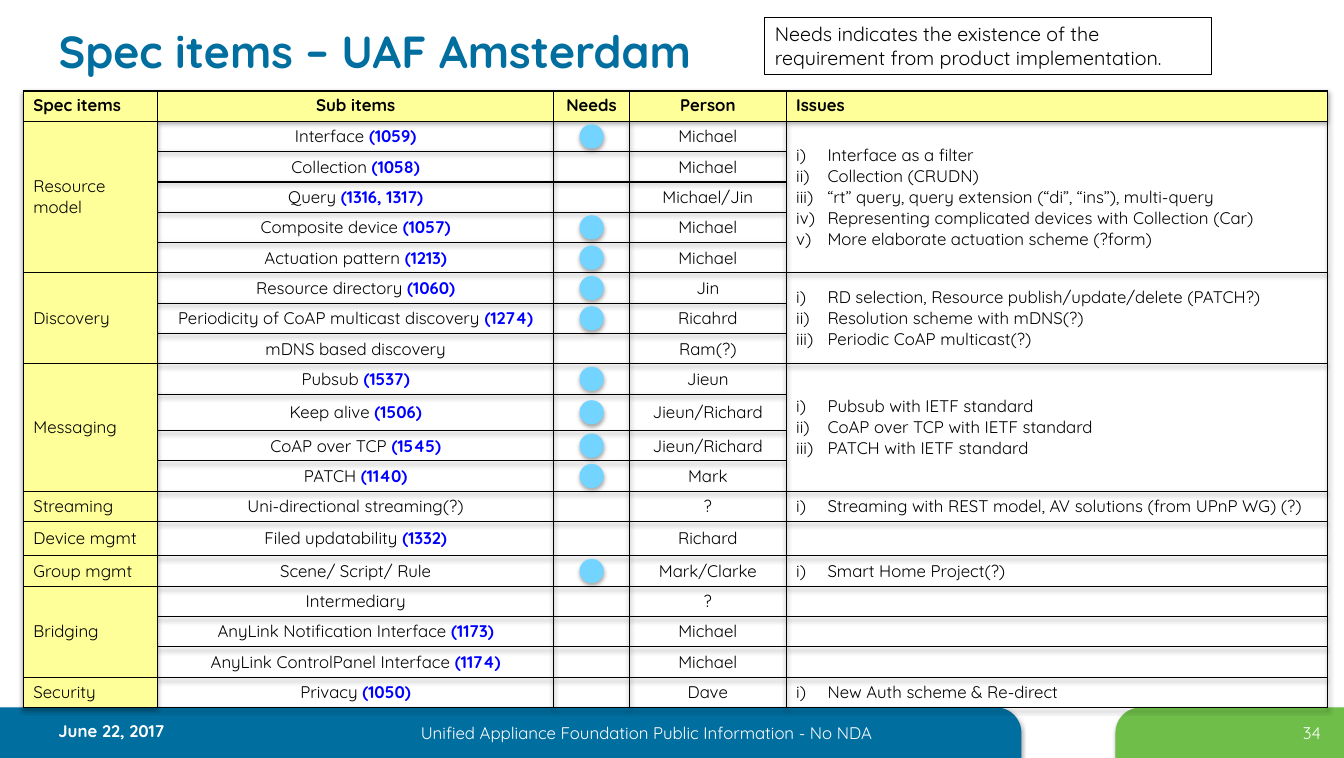
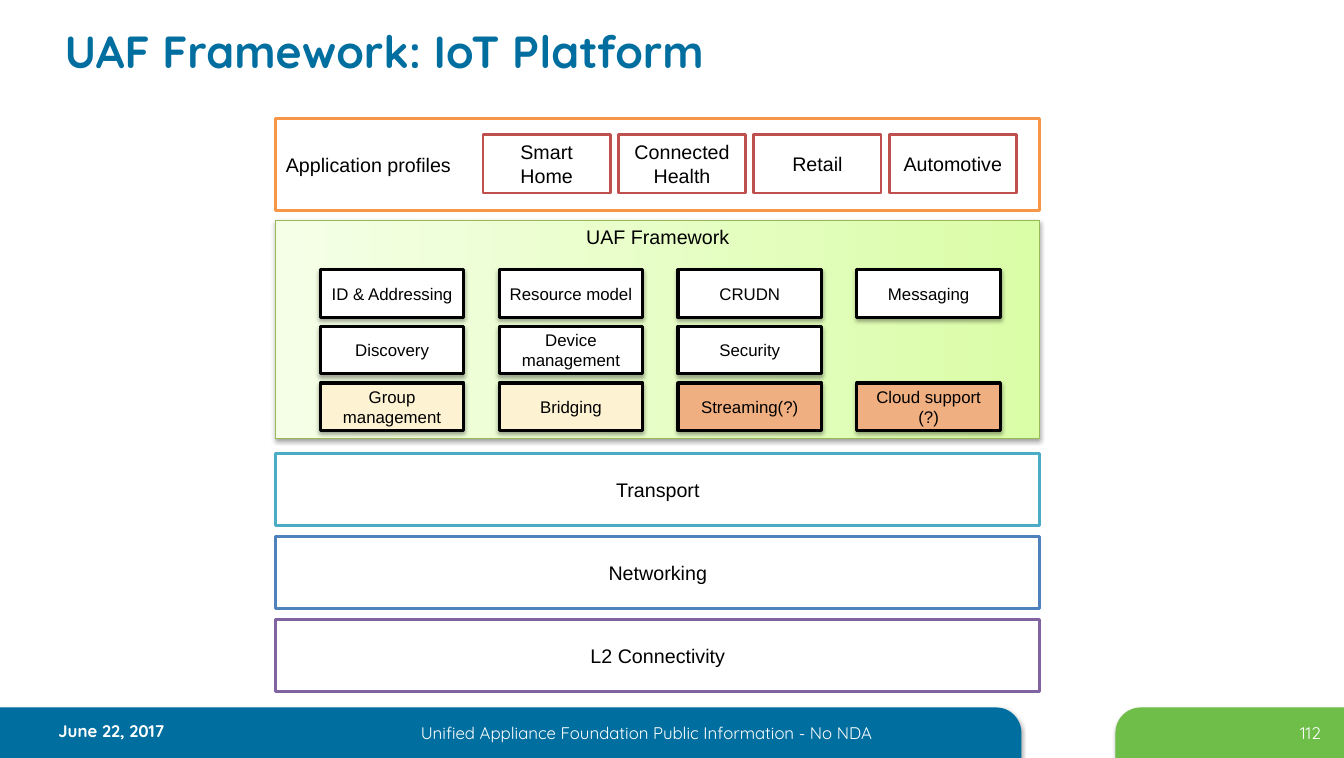
from collections import namedtuple
from itertools import accumulate

from lxml.etree import SubElement
from pptx import Presentation
from pptx.dml.color import RGBColor
from pptx.enum.shapes import MSO_SHAPE as SHAPE
from pptx.enum.text import MSO_ANCHOR as ANCHOR, PP_ALIGN as ALIGN
from pptx.oxml import parse_xml
from pptx.oxml.ns import nsdecls, qn
from pptx.util import Inches, Pt

COLORS = {
    "blue": "006E9F", "green": "6EBE49", "white": "FFFFFF", "black": "000000",
    "heading": "FFFF99", "reference": "0000FF", "dot": "73D4FF",
    "profiles": "F79646", "profile": "C0504D", "framework": "98B955",
    "pale": "F5FFE7", "lime": "DAFDA7", "cream": "FDF3D3", "orange": "F0AF80",
    "transport": "4BACC6", "networking": "4F81BD", "connectivity": "8064A2",
}
BRAND_FONT, DIAGRAM_FONT = "Quicksand", "Arial"
DATE = "June 22, 2017"
FOOTER = "Unified Appliance Foundation Public Information - No NDA"

Box = namedtuple("Box", "left top width height")
SLIDE = Box(0, 0, 13.3, 7.5)
BAND = Box(0, 7, SLIDE.width, 0.5)
TABLE = Box(0.23, 0.9, 12.91, 6.1)
STACK = Box(2.73, 1.17, 7.56, 5.67)

HEADERS = ["Spec items", "Sub items", "Needs", "Person", "Issues"]
COLUMNS = [1.33, 3.92, 0.75, 1.55, 5.36]
ROW, TALL_ROWS = 0.3, {10: 0.36, 14: 0.34}
# Topic, its (sub item, reference, needed, person) rows, its issues
TOPICS = [
    ("Resource model", [
        ("Interface", "(1059)", True, "Michael"),
        ("Collection", "(1058)", False, "Michael"),
        ("Query", "(1316, 1317)", False, "Michael/Jin"),
        ("Composite device", "(1057)", True, "Michael"),
        ("Actuation pattern", "(1213)", True, "Michael"),
    ], ["Interface as a filter", "Collection (CRUDN)",
        "“rt” query, query extension (“di”, “ins”), multi-query",
        "Representing complicated devices with Collection (Car)",
        "More elaborate actuation scheme (?form)"]),
    ("Discovery", [
        ("Resource directory", "(1060)", True, "Jin"),
        ("Periodicity of CoAP multicast discovery", "(1274)", True, "Ricahrd"),
        ("mDNS based discovery", "", False, "Ram(?)"),
    ], ["RD selection, Resource publish/update/delete (PATCH?)",
        "Resolution scheme with mDNS(?)", "Periodic CoAP multicast(?)"]),
    ("Messaging", [
        ("Pubsub", "(1537)", True, "Jieun"),
        ("Keep alive", "(1506)", True, "Jieun/Richard"),
        ("CoAP over TCP", "(1545)", True, "Jieun/Richard"),
        ("PATCH", "(1140)", True, "Mark"),
    ], ["Pubsub with IETF standard", "CoAP over TCP with IETF standard",
        "PATCH with IETF standard"]),
    ("Streaming", [("Uni-directional streaming(?)", "", False, "?")],
     ["Streaming with REST model, AV solutions (from UPnP WG) (?)"]),
    ("Device mgmt", [("Filed updatability", "(1332)", False, "Richard")], []),
    ("Group mgmt", [("Scene/ Script/ Rule", "", True, "Mark/Clarke")],
     ["Smart Home Project(?)"]),
    ("Bridging", [
        ("Intermediary", "", False, "?"),
        ("AnyLink Notification Interface", "(1173)", False, "Michael"),
        ("AnyLink ControlPanel Interface", "(1174)", False, "Michael"),
    ], []),
    ("Security", [("Privacy", "(1050)", False, "Dave")],
     ["New Auth scheme & Re-direct"]),
]

PROFILES = ["Smart Home", "Connected Health", "Retail", "Automotive"]
MODULES = [
    [("ID & Addressing", "white"), ("Resource model", "white"),
     ("CRUDN", "white"), ("Messaging", "white")],
    [("Discovery", "white"), ("Device management", "white"),
     ("Security", "white")],
    [("Group management", "cream"), ("Bridging", "cream"),
     ("Streaming(?)", "orange"), ("Cloud support (?)", "orange")],
]
LAYERS = [("Transport", "transport"), ("Networking", "networking"),
          ("L2 Connectivity", "connectivity")]


def rgb(name):
    return RGBColor.from_string(COLORS[name])


def inches(box):
    return [Inches(length) for length in box]


def inside(box, left, top, width, height):
    """Box placed relative to the top left corner of another one."""
    return Box(box.left + left, box.top + top, width, height)


def shadow_effect():
    return parse_xml(
        f'<a:effectLst {nsdecls("a")}><a:outerShdw blurRad="{Pt(3.1)}" '
        f'dist="{Pt(1.8)}" dir="5400000" rotWithShape="0">'
        f'<a:srgbClr val="{COLORS["black"]}"><a:alpha val="35000"/></a:srgbClr>'
        '</a:outerShdw></a:effectLst>')


def write(frame, *paragraphs, size=12, color="black", bold=False,
          font=BRAND_FONT, align=ALIGN.LEFT, anchor=None, numbered=False):
    """Fill a frame; a (text, reference) pair gets its reference emphasised."""
    frame.word_wrap = True
    if anchor is not None:
        frame.vertical_anchor = anchor
    for index, content in enumerate(paragraphs):
        paragraph = frame.add_paragraph() if index else frame.paragraphs[0]
        paragraph.alignment = align
        if numbered:
            properties = paragraph._p.get_or_add_pPr()
            properties.set("marL", str(Inches(0.31)))
            properties.set("indent", str(-Inches(0.31)))
            SubElement(properties, qn("a:buAutoNum"), type="romanLcParenR")
        text, reference = (content, "") if isinstance(content, str) else content
        parts = [(f"{text} " if reference else text, color, bold),
                 (reference, "reference", True)]
        for part, part_color, part_bold in parts:
            if part:
                run = paragraph.add_run()
                run.text = part
                run.font.name, run.font.size = font, Pt(size)
                run.font.bold, run.font.color.rgb = part_bold, rgb(part_color)
        if not text:
            SubElement(paragraph._p, qn("a:endParaRPr"), sz=str(size * 100))


def add_label(slide, box, text, **style):
    write(slide.shapes.add_textbox(*inches(box)).text_frame, text, **style)


def add_block(slide, box, kind=SHAPE.RECTANGLE, fill=None, line=None,
              weight=2, shadow=False):
    block = slide.shapes.add_shape(kind, *inches(box))
    block.shadow.inherit = False
    if shadow:
        properties = block.element.spPr
        properties.replace(properties.find(qn("a:effectLst")), shadow_effect())
    if fill:
        block.fill.solid()
        block.fill.fore_color.rgb = rgb(fill)
    else:
        block.fill.background()
    if line:
        block.line.color.rgb, block.line.width = rgb(line), Pt(weight)
    else:
        block.line.fill.background()
    return block


def add_diagram_block(slide, box, text, size=14, align=ALIGN.CENTER,
                      anchor=ANCHOR.MIDDLE, **look):
    block = add_block(slide, box, **look)
    write(block.text_frame, text, size=size, font=DIAGRAM_FONT,
          align=align, anchor=anchor)
    return block


def add_footer(slide, box, number):
    for left, width, color in [(0, 0.76, "blue"), (0.83, 0.17, "green")]:
        tab = add_block(slide, inside(box, box.width * left, 0,
                                      box.width * width, box.height),
                        SHAPE.ROUND_1_RECTANGLE, fill=color, shadow=True)
        tab.adjustments[0] = 0.5
        if left:
            tab.element.spPr.find(qn("a:xfrm")).set("flipH", "1")
    add_label(slide, inside(box, 0.48, 0.08, 2.17, 0.33), DATE,
              color="white", bold=True)
    add_label(slide, inside(box, 3.27, 0.1, 6.26, 0.28), FOOTER,
              color="white", align=ALIGN.CENTER)
    add_label(slide, inside(box, 11.83, 0.1, 1.34, 0.38), str(number),
              color="white", align=ALIGN.RIGHT)


def start_slide(deck, title, number, left):
    slide = deck.slides.add_slide(deck.slide_layouts[5])
    add_footer(slide, BAND, number)
    heading = slide.shapes.title
    heading.left, heading.top, heading.width, heading.height = inches(
        Box(left, 0.1, 11.3, 0.8))
    write(heading.text_frame, title, size=32, color="blue", bold=True,
          anchor=ANCHOR.MIDDLE)
    return slide


def format_cell(cell, *paragraphs, fill=None, anchor=ANCHOR.MIDDLE, **style):
    cell.margin_top = cell.margin_bottom = Inches(0.04)
    cell.vertical_anchor = anchor
    write(cell.text_frame, *(paragraphs or [""]), **style)
    properties = cell._tc.get_or_add_tcPr()
    for side in ("lnL", "lnR", "lnT", "lnB"):
        edge = SubElement(properties, qn(f"a:{side}"), w=str(Pt(1)))
        SubElement(SubElement(edge, qn("a:solidFill")), qn("a:srgbClr"),
                   val=COLORS["black"])
    if fill:
        cell.fill.solid()
        cell.fill.fore_color.rgb = rgb(fill)
    else:
        cell.fill.background()


def add_spec_table(slide, box):
    heights = [TALL_ROWS.get(row, ROW)
               for row in range(1 + sum(len(items) for _, items, _ in TOPICS))]
    tops = [0, *accumulate(heights)]
    table = slide.shapes.add_table(len(heights), len(COLUMNS),
                                   *inches(box)).table
    table.first_row = table.horz_banding = False
    table._tbl.tblPr.insert(0, shadow_effect())
    for column, width in zip(table.columns, COLUMNS):
        column.width = Inches(width)
    for row, height in zip(table.rows, heights):
        row.height = Inches(height)

    for column, header in enumerate(HEADERS):
        format_cell(table.cell(0, column), header, fill="heading", bold=True,
                    anchor=ANCHOR.TOP,
                    align=ALIGN.CENTER if 0 < column < 4 else ALIGN.LEFT)
    dot, row = 0.24, 1
    dot_left = sum(COLUMNS[:2]) + (COLUMNS[2] - dot) / 2
    for topic, items, issues in TOPICS:
        first, last = row, row + len(items) - 1
        for item, reference, needed, person in items:
            format_cell(table.cell(row, 0), *([topic] if row == first else []),
                        fill="heading")
            format_cell(table.cell(row, 1), (item, reference),
                        align=ALIGN.CENTER)
            format_cell(table.cell(row, 2))
            format_cell(table.cell(row, 3), person, align=ALIGN.CENTER)
            format_cell(table.cell(row, 4), *(issues if row == first else []),
                        numbered=bool(issues) and row == first)
            if needed:
                dot_top = tops[row] + (heights[row] - dot) / 2
                add_block(slide, inside(box, dot_left, dot_top, dot, dot),
                          SHAPE.OVAL, fill="dot", shadow=True)
            row += 1
        if last > first:
            for column in (0, 4) if issues else (0,):
                table.cell(first, column).merge(table.cell(last, column))


def add_profiles(slide, box):
    add_diagram_block(slide, box, "Application profiles", align=ALIGN.LEFT,
                      fill="white", line="profiles")
    for column, profile in enumerate(PROFILES):
        add_diagram_block(
            slide, inside(box, 2.05 + 1.34 * column, 0.16, 1.26, 0.58),
            profile, fill="white", line="profile")


def add_framework(slide, box):
    panel = add_diagram_block(slide, box, "UAF Framework", anchor=ANCHOR.TOP,
                              line="framework", weight=0.75, shadow=True)
    panel.fill.gradient()
    panel.fill.gradient_angle = 0
    for stop, color in zip(panel.fill.gradient_stops, ("pale", "lime")):
        stop.color.rgb = rgb(color)
    for row, modules in enumerate(MODULES):
        for column, (module, color) in enumerate(modules):
            add_diagram_block(
                slide, inside(box, 0.44 + 1.77 * column, 0.49 + 0.56 * row,
                              1.42, 0.47),
                module, size=12, fill=color, line="black", weight=2.25,
                shadow=True)


def add_layers(slide, box):
    for row, (layer, color) in enumerate(LAYERS):
        add_diagram_block(slide, inside(box, 0, 0.82 * row, box.width, 0.71),
                          layer, fill="white", line=color)


def main():
    deck = Presentation()
    deck.slide_width, deck.slide_height = inches(SLIDE)[2:]

    spec = start_slide(deck, "Spec items – UAF Amsterdam", 34, left=0.48)
    add_spec_table(spec, TABLE)
    note = add_block(spec, Box(7.57, 0.17, 4.42, 0.57), line="black",
                     weight=0.75)
    write(note.text_frame, "Needs indicates the existence of the requirement "
          "from product implementation.", size=14, anchor=ANCHOR.TOP)

    platform = start_slide(deck, "UAF Framework: IoT Platform", 112, left=0.54)
    add_profiles(platform, inside(STACK, 0, 0, STACK.width, 0.91))
    add_framework(platform, inside(STACK, 0, 1.01, STACK.width, 2.16))
    add_layers(platform, inside(STACK, 0, 3.32, STACK.width, 2.35))
    deck.save("out.pptx")


if __name__ == "__main__":
    main()
